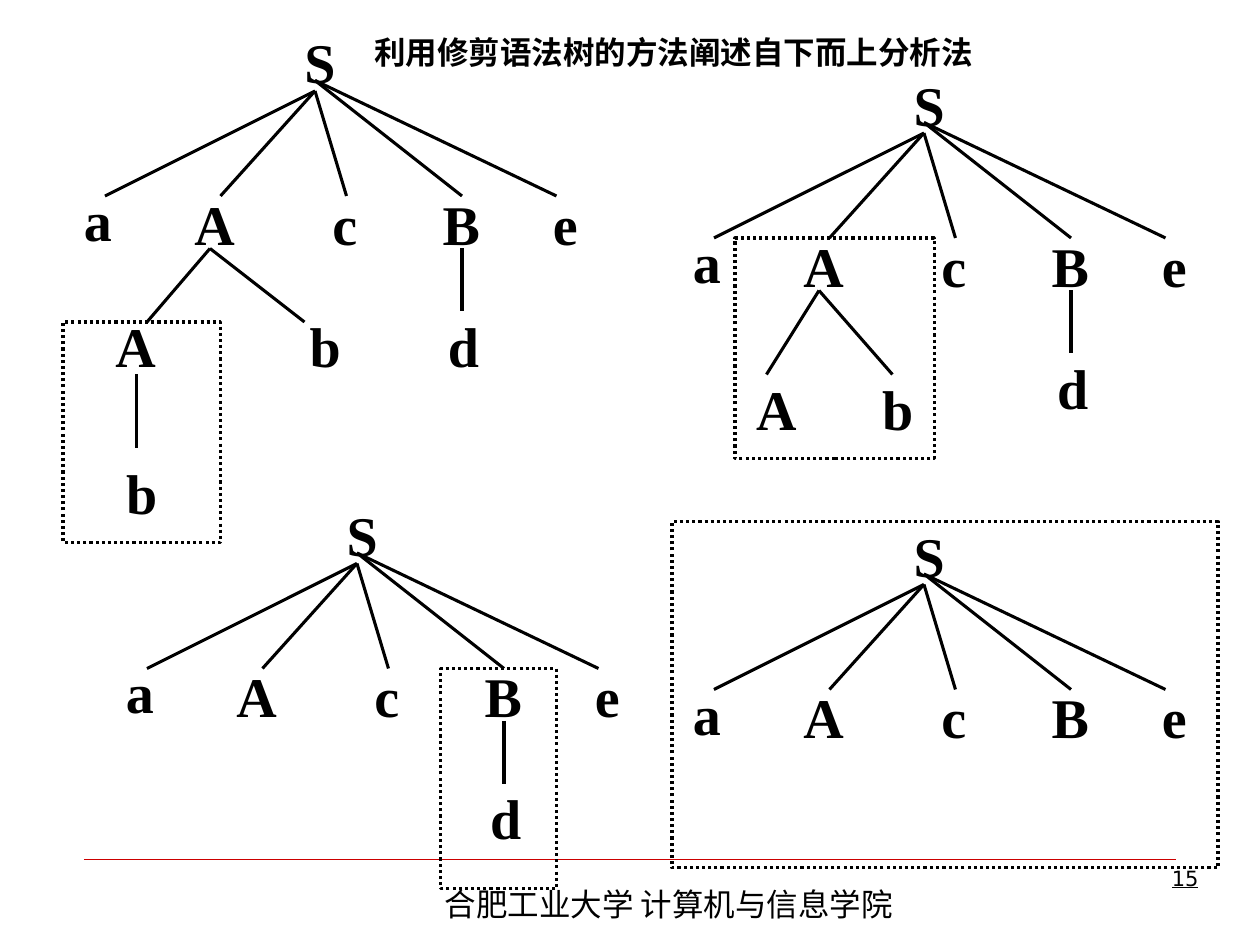
from lxml import etree
from pptx import Presentation
from pptx.dml.color import RGBColor
from pptx.enum import dml, shapes, text
from pptx.oxml.ns import qn
from pptx.util import Pt

BLACK = "000000"
LETTER_WIDTHS = {"S": 18, "A": 23, "B": 21.6, "a": 16, "b": 18, "c": 14.4, "d": 18, "e": 14.4}


def write(shape, words, size, font, align=text.PP_ALIGN.LEFT, margins=(7.2, 3.6),
          bold=False, underline=False, wrap=True):
    frame = shape.text_frame
    frame.auto_size = text.MSO_AUTO_SIZE.NONE
    frame.word_wrap = wrap
    frame.vertical_anchor = text.MSO_ANCHOR.TOP
    frame.margin_left = frame.margin_right = Pt(margins[0])
    frame.margin_top = frame.margin_bottom = Pt(margins[1])
    frame.text = words
    paragraph = frame.paragraphs[0]
    paragraph.alignment = align
    paragraph.line_spacing = 1.0
    paragraph.font.size = Pt(size)
    paragraph.font.bold = bold
    paragraph.font.underline = underline
    paragraph.font.color.rgb = RGBColor.from_string(BLACK)
    paragraph.font.name = font
    properties = paragraph._p.pPr.find(qn("a:defRPr"))
    etree.SubElement(properties, qn("a:ea"), typeface="Noto Sans CJK SC")


def add_line(parent, start, end, color=BLACK, width=1.75):
    line = parent.add_connector(shapes.MSO_CONNECTOR.STRAIGHT,
                                *[Pt(value) for value in (*start, *end)])
    line.line.color.rgb = RGBColor.from_string(color)
    line.line.width = Pt(width)
    etree.SubElement(line._element.spPr, qn("a:effectLst"))


presentation = Presentation()
presentation.slide_width, presentation.slide_height = Pt(720), Pt(540)
slide = presentation.slides.add_slide(presentation.slide_layouts[5])

title = slide.shapes.title
title.left, title.top, title.width, title.height = Pt(206.6), Pt(15), Pt(369), Pt(29)
write(title, "利用修剪语法树的方法阐述自下而上分析法", 18, "DejaVu Sans", bold=True)

add_line(slide.shapes, (48, 491), (672, 491), "CC0000", 0.25)
footer = slide.shapes.add_textbox(Pt(247), Pt(502), Pt(346), Pt(29))
write(footer, "合肥工业大学 计算机与信息学院", 18, "Noto Sans CJK SC")
page_number = slide.shapes.add_textbox(Pt(536), Pt(491), Pt(156), Pt(37))
write(page_number, "15", 12, "DejaVu Sans", text.PP_ALIGN.RIGHT, underline=True)

# Letters (letter, left, top) and branches (start, end), relative to the root of a tree
root_letters = [("S", -6, -36), ("a", -132, 54), ("A", -69, 56),
                ("c", 10, 56), ("B", 73, 56), ("e", 136, 56)]
root_branches = [((0, 0), (x, 60)) for x in (-120, -54, 18)]
root_branches += [((0, -6), (x, 60)) for x in (84, 138)]

d_letters = [("d", 76, 126)]
d_branches = [((84, 90), (84, 126))]

# Each tree: root point, further letters, further branches, dotted frame on the slide
trees = [
    ((180, 52),
     d_letters + [("A", -114, 126), ("b", -3, 126), ("b", -108, 210)],
     d_branches + [((-60, 90), (-96, 132)), ((-60, 90), (-6, 132)), ((-102, 162), (-102, 204))],
     (36, 184, 90, 126)),
    ((528, 76),
     d_letters + [("A", -96, 138), ("b", -24, 138)],
     d_branches + [((-60, 90), (-90, 138)), ((-60, 90), (-18, 138))],
     (420, 136, 114, 126)),
    ((204, 322), d_letters, d_branches, (252, 382, 66, 126)),
    ((528, 334), [], [], (384, 298, 312, 198)),
]

for (root_x, root_y), letters, branches, frame_box in trees:
    tree = slide.shapes.add_group_shape()
    for letter, x, y in root_letters + letters:
        label = tree.shapes.add_textbox(Pt(root_x + x), Pt(root_y + y),
                                        Pt(LETTER_WIDTHS[letter]), Pt(38))
        write(label, letter, 32, "Times New Roman", text.PP_ALIGN.JUSTIFY,
              margins=(0, 0), bold=True, wrap=False)
    for start, end in root_branches + branches:
        add_line(tree.shapes, (root_x + start[0], root_y + start[1]),
                 (root_x + end[0], root_y + end[1]))

    frame = slide.shapes.add_shape(shapes.MSO_SHAPE.RECTANGLE, *[Pt(value) for value in frame_box])
    frame.shadow.inherit = False
    frame.fill.background()
    frame.line.color.rgb = RGBColor.from_string(BLACK)
    frame.line.width = Pt(1.75)
    frame.line.dash_style = dml.MSO_LINE.ROUND_DOT

presentation.save("out.pptx")
